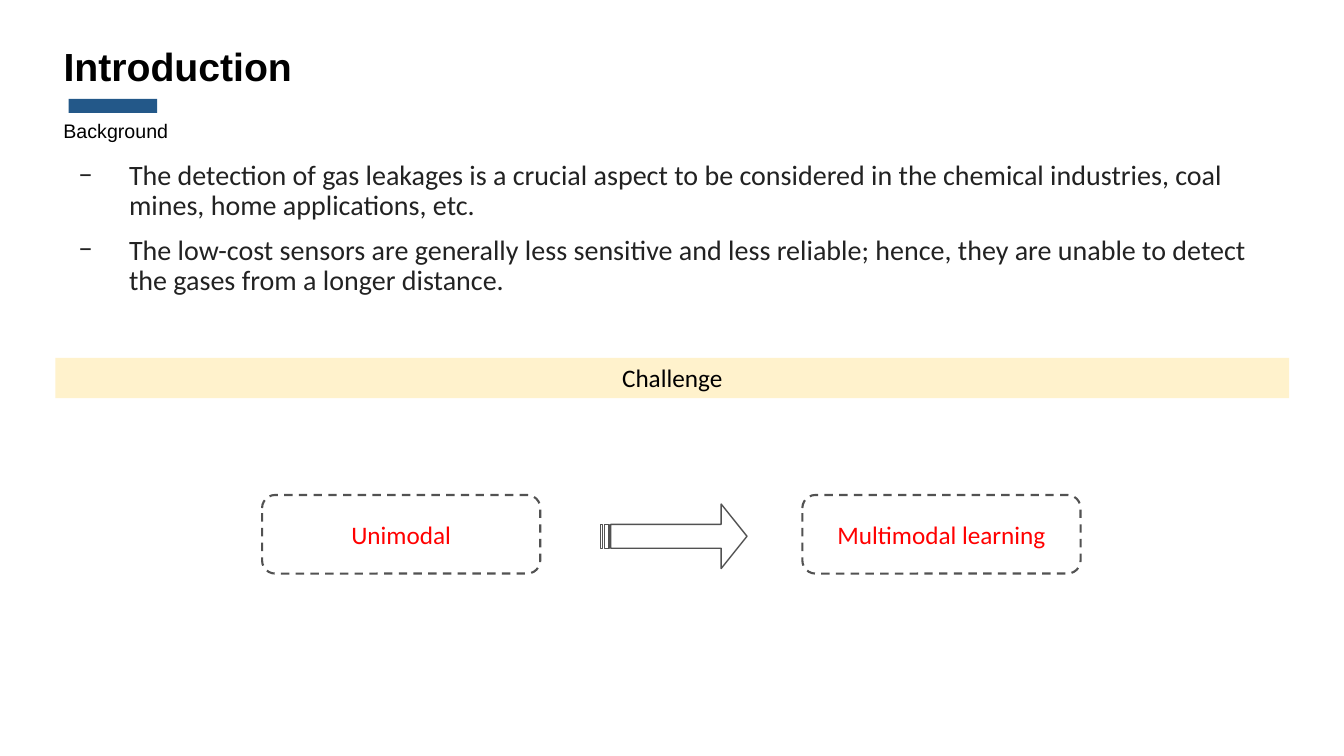
import pptx
import pptx.util
import pptx.dml.color
import pptx.enum.dml
import pptx.enum.shapes
import pptx.enum.text
import pptx.oxml.ns
from lxml import etree

RGBColor = pptx.dml.color.RGBColor
Shape = pptx.enum.shapes.MSO_SHAPE
Align = pptx.enum.text.PP_ALIGN
Anchor = pptx.enum.text.MSO_ANCHOR

BLUE = RGBColor(0x23, 0x58, 0x89)
CREAM = RGBColor(0xFF, 0xF2, 0xCC)
GREY = RGBColor(0x52, 0x52, 0x52)
INK = RGBColor(0x22, 0x22, 0x22)
BLACK = RGBColor(0, 0, 0)
RED = RGBColor(0xFF, 0, 0)

SLIDE_WIDTH = pptx.util.Inches(13.33)
SLIDE_HEIGHT = pptx.util.Inches(7.5)

BULLETS = [
    "The detection of gas leakages is a crucial aspect to be considered in the "
    "chemical industries, coal mines, home applications, etc.",
    "The low-cost sensors are generally less sensitive and less reliable; hence, "
    "they are unable to detect the gases from a longer distance.",
]
APPROACHES = ["Unimodal", "Multimodal learning"]


def area(left, top, width, height):
    """Turn percentages of the slide's size into lengths."""
    return (int(SLIDE_WIDTH * left / 100), int(SLIDE_HEIGHT * top / 100),
            int(SLIDE_WIDTH * width / 100), int(SLIDE_HEIGHT * height / 100))


def move(box, place):
    box.left, box.top, box.width, box.height = place


def add_dash(para):
    props = para._p.get_or_add_pPr()
    indent = pptx.util.Inches(0.5)
    props.set("marL", str(indent))
    props.set("indent", str(-indent))
    font = etree.SubElement(props, pptx.oxml.ns.qn("a:buFont"))
    font.set("typeface", "Calibri")
    etree.SubElement(props, pptx.oxml.ns.qn("a:buChar")).set("char", "−")


def write(box, lines, size, font, color, align=Align.LEFT, anchor=Anchor.TOP,
          bold=False, dashes=False, spacing=0.9):
    frame = box.text_frame
    frame.word_wrap = True
    frame.auto_size = pptx.enum.text.MSO_AUTO_SIZE.NONE
    frame.vertical_anchor = anchor
    for index, line in enumerate(lines):
        para = frame.add_paragraph() if index else frame.paragraphs[0]
        if dashes:
            add_dash(para)
        para.alignment = align
        para.line_spacing = spacing
        para.space_before = pptx.util.Pt(10 if index else 0)
        span = para.add_run()
        span.text = line
        span.font.size = pptx.util.Pt(size)
        span.font.name = font
        span.font.bold = bold
        span.font.color.rgb = color


def add_filled(page, place, color):
    shape = page.shapes.add_shape(Shape.RECTANGLE, *place)
    shape.shadow.inherit = False
    shape.fill.solid()
    shape.fill.fore_color.rgb = color
    shape.line.fill.background()
    return shape


def add_outlined(page, kind, place, weight):
    shape = page.shapes.add_shape(kind, *place)
    shape.shadow.inherit = False
    shape.fill.background()
    shape.line.color.rgb = GREY
    shape.line.width = pptx.util.Pt(weight)
    return shape


def add_heading(page):
    title = page.shapes.title
    move(title, area(3.98, 5.6, 33.15, 6.13))
    write(title, ["Introduction"], 28, "Arial", BLACK, bold=True)
    add_filled(page, area(5.1, 13.07, 6.6, 1.87), BLUE)
    subtitle = page.shapes.add_textbox(*area(3.98, 15.47, 14.4, 3.47))
    write(subtitle, ["Background"], 14, "Arial", BLACK)


def add_approaches(page):
    for index, label in enumerate(APPROACHES):
        place = area(19.5 + 40.2 * index, 65.47, 20.7, 10.4)
        box = add_outlined(page, Shape.ROUNDED_RECTANGLE, place, 1.5)
        box.line.dash_style = pptx.enum.dml.MSO_LINE.DASH
        write(box, [label], 18, "Calibri", RED, Align.CENTER, Anchor.MIDDLE,
              spacing=1.0)
    arrow = add_outlined(page, Shape.STRIPED_RIGHT_ARROW,
                         area(44.7, 66.67, 10.88, 8.53), 1)
    arrow.adjustments[0] = 0.37
    arrow.adjustments[1] = 0.4


def main():
    deck = pptx.Presentation()
    deck.slide_width, deck.slide_height = SLIDE_WIDTH, SLIDE_HEIGHT
    page = deck.slides.add_slide(deck.slide_layouts[1])
    add_heading(page)
    body = page.placeholders[1]
    move(body, area(5.1, 20.67, 90, 20.27))
    write(body, BULLETS, 20, "Calibri", INK, dashes=True)
    band = add_filled(page, area(4.12, 47.33, 91.8, 5.33), CREAM)
    write(band, ["Challenge"], 18, "Calibri", BLACK, Align.CENTER, spacing=1.0)
    add_approaches(page)
    deck.save("out.pptx")


if __name__ == "__main__":
    main()
